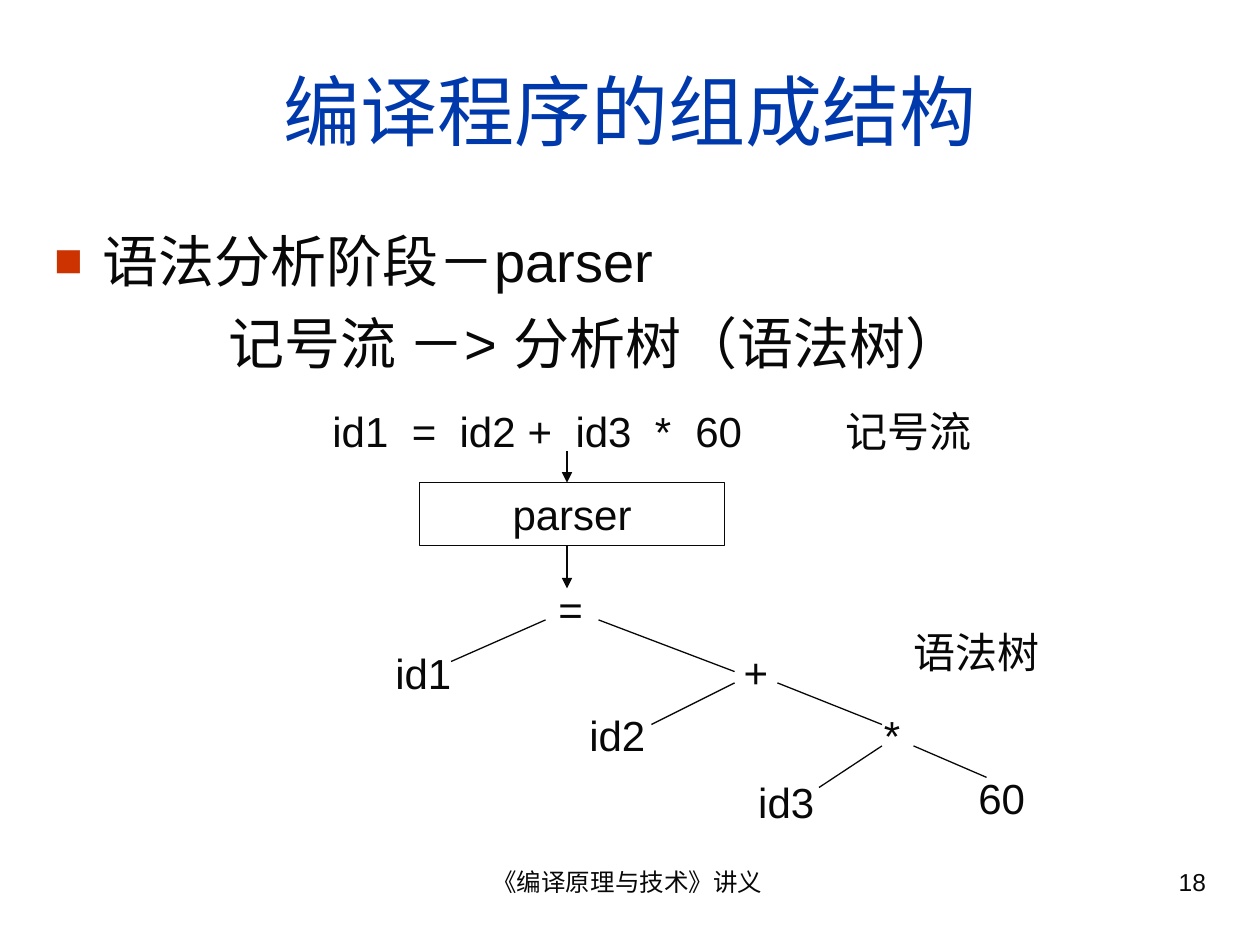
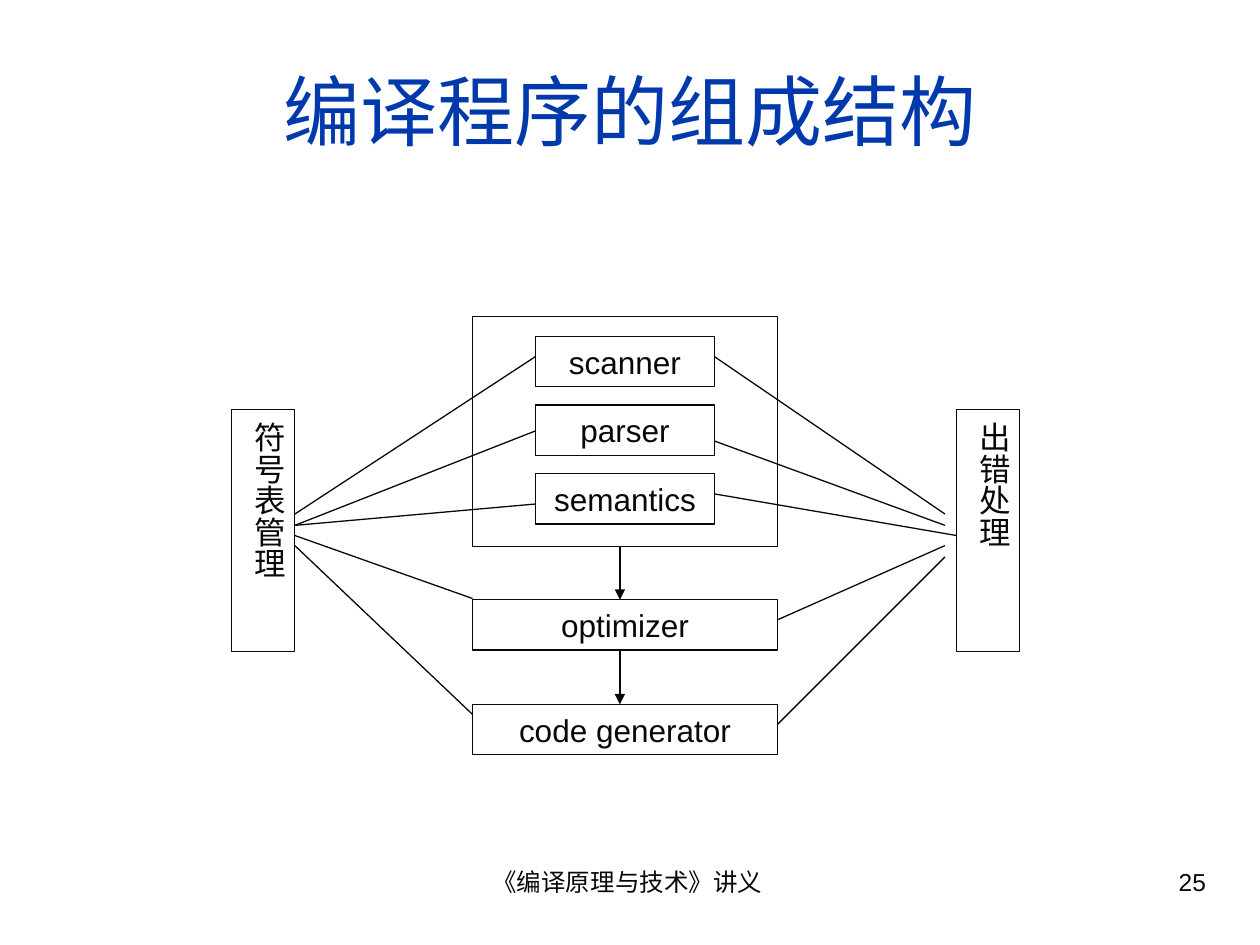
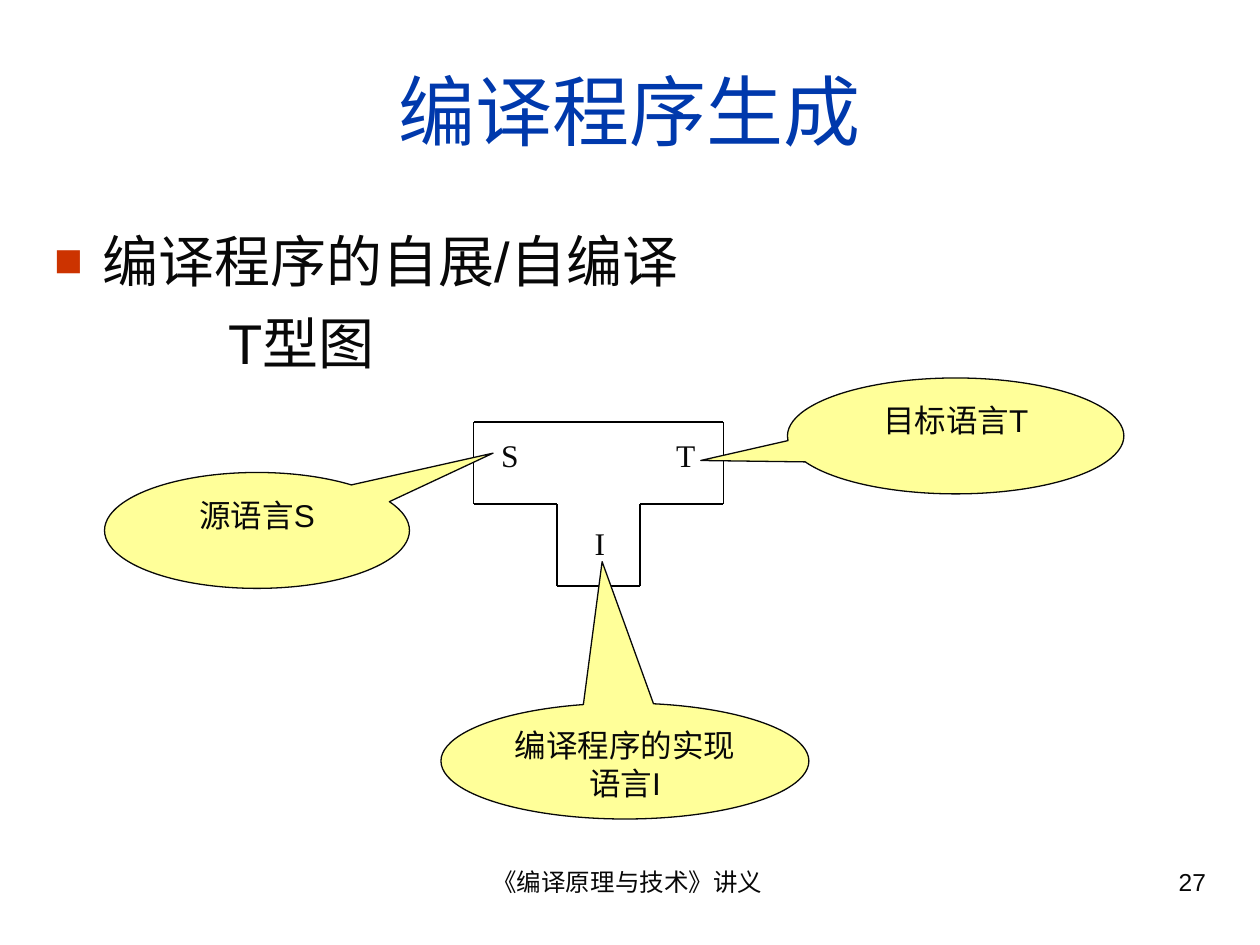
"""Build three lecture slides on the structure of a compiler."""
from dataclasses import dataclass

from lxml import etree
from pptx import Presentation
from pptx.dml.color import RGBColor
from pptx.enum import shapes as sh, text as tx
from pptx.oxml.ns import qn
from pptx.util import Inches, Pt


@dataclass(frozen=True)
class Theme:
    """Colours, fonts and type sizes of the deck."""

    ink: str = "080808"
    title: str = "0039AC"
    bullet: str = "CC3300"
    callout: str = "FFFF99"
    outline: str = "000000"
    sans: str = "Arial"
    serif: str = "Times New Roman"
    title_size: int = 44
    body_size: int = 32
    label_size: int = 24
    small_size: int = 18
    footer_size: int = 14
    line_width: float = 0.75


THEME = Theme()
CENTER, LEFT, RIGHT = tx.PP_ALIGN.CENTER, tx.PP_ALIGN.LEFT, tx.PP_ALIGN.RIGHT
COURSE = "《编译原理与技术》讲义"


def add_run(paragraph, words, size, color=THEME.ink, font=THEME.sans):
    """Append one formatted run."""
    run = paragraph.add_run()
    run.text = words
    run.font.size, run.font.name = Pt(size), font
    run.font.color.rgb = RGBColor.from_string(color)


def add_tabs(paragraph, stops):
    """Set tab stops given as (inches, alignment) pairs."""
    tabs = etree.SubElement(paragraph._p.get_or_add_pPr(), qn("a:tabLst"))
    for position, side in stops:
        etree.SubElement(tabs, qn("a:tab"), pos=str(Inches(position)), algn=side)


def set_frame(frame, margins=(0.1, 0.05), anchor=tx.MSO_ANCHOR.TOP):
    """Wrap a text frame and set its horizontal and vertical margins."""
    frame.word_wrap, frame.auto_size = True, tx.MSO_AUTO_SIZE.NONE
    frame.vertical_anchor = anchor
    frame.margin_left = frame.margin_right = Inches(margins[0])
    frame.margin_top = frame.margin_bottom = Inches(margins[1])


def style_line(line, color=THEME.ink):
    """Give a line the deck's colour and weight."""
    line.color.rgb = RGBColor.from_string(color)
    line.width = Pt(THEME.line_width)


@dataclass
class Region:
    """Part of a slide whose contents are placed from its top left corner."""

    slide: object
    left: float
    top: float

    def place(self, x, y):
        """Turn a point of the region into slide lengths."""
        return Inches(self.left + x), Inches(self.top + y)

    def label(self, words, x, y, width, height=0.5, size=THEME.label_size,
              align=CENTER, font=THEME.sans, margins=(0.1, 0.05)):
        """Add a text box and return its paragraph."""
        box = self.slide.shapes.add_textbox(
            *self.place(x, y), Inches(width), Inches(height))
        set_frame(box.text_frame, margins)
        paragraph = box.text_frame.paragraphs[0]
        paragraph.alignment = align
        add_run(paragraph, words, size, font=font)
        return paragraph

    def box(self, words, x, y, width, height, size=THEME.small_size,
            kind=sh.MSO_SHAPE.RECTANGLE, fill=None, margins=(0.1, 0.05)):
        """Add an outlined shape with centred words."""
        shape = self.slide.shapes.add_shape(
            kind, *self.place(x, y), Inches(width), Inches(height))
        shape.shadow.inherit = False
        if fill:
            shape.fill.solid()
            shape.fill.fore_color.rgb = RGBColor.from_string(fill)
        else:
            shape.fill.background()
        style_line(shape.line)
        set_frame(shape.text_frame, margins)
        if words:
            paragraph = shape.text_frame.paragraphs[0]
            paragraph.alignment = CENTER
            add_run(paragraph, words, size)
        return shape

    def line(self, start, end, arrow=False, color=THEME.ink):
        """Add a straight line, with an arrowhead at its end if wanted."""
        link = self.slide.shapes.add_connector(
            sh.MSO_CONNECTOR.STRAIGHT, *self.place(*start), *self.place(*end))
        style_line(link.line, color)
        if arrow:
            etree.SubElement(link.line._get_or_add_ln(), qn("a:tailEnd"), type="triangle")
        etree.SubElement(link._element.spPr, qn("a:effectLst"))


def add_slide(deck, heading, number, points=()):
    """Add a slide with its title, footer and optional body list."""
    slide = deck.slides.add_slide(deck.slide_layouts[1 if points else 5])
    title = slide.shapes.title
    title.left, title.top, title.width, title.height = map(Inches, (0.33, 0.25, 9.34, 1.24))
    set_frame(title.text_frame, anchor=tx.MSO_ANCHOR.MIDDLE)
    title.text_frame.paragraphs[0].alignment = CENTER
    add_run(title.text_frame.paragraphs[0], heading, THEME.title_size, THEME.title)
    if points:
        fill_body(slide.placeholders[1], *points)
    footer = Region(slide, 3.42, 6.83)
    footer.label(COURSE, 0, 0, 3.12, 0.52, THEME.footer_size)
    footer.label(str(number), 3.75, 0, 2.5, 0.52, THEME.footer_size, RIGHT)
    return slide


def fill_body(body, topic, detail):
    """Write a bulleted topic and an indented detail line."""
    body.left, body.top, body.width, body.height = map(Inches, (0.33, 1.75, 9.34, 1.33))
    frame = body.text_frame
    set_frame(frame)
    for paragraph, words, margin, indent in (
            (frame.paragraphs[0], topic, 0.38, -0.38),
            (frame.add_paragraph(), detail, 1.38, 0)):
        paragraph.alignment, paragraph.space_before = LEFT, Pt(8)
        add_run(paragraph, words, THEME.body_size)
        props = paragraph._p.get_or_add_pPr()
        props.set("marL", str(Inches(margin)))
        props.set("indent", str(Inches(indent)))
        if indent:
            color = etree.SubElement(props, qn("a:buClr"))
            etree.SubElement(color, qn("a:srgbClr"), val=THEME.bullet)
            etree.SubElement(props, qn("a:buSzPct"), val="85000")
            etree.SubElement(props, qn("a:buFont"), typeface=THEME.sans)
            etree.SubElement(props, qn("a:buChar"), char="■")
        else:
            etree.SubElement(props, qn("a:buNone"))


def draw_token_stream(region):
    """Show the token stream entering and leaving the parser."""
    tokens = ("id1", "=", "id2", "+", "id3", "*", "60", "记号流")
    stream = region.label("\t".join(tokens), 0.46, 0, 5.46, align=LEFT)
    add_tabs(stream, [(x, "l") for x in (0.63, 1.01, 1.55, 1.93, 2.56, 2.88, 4.07)])
    region.line((2.42, 0.41), (2.42, 0.66), arrow=True)
    region.box("parser", 1.25, 0.66, 2.42, 0.5, THEME.label_size)
    region.line((2.42, 1.16), (2.42, 1.5), arrow=True)


def draw_syntax_tree(region):
    """Draw the syntax tree from its node centres and branches."""
    width = 0.83
    nodes = (("=", 1.53, 0), ("id1", 0.36, 0.51), ("+", 3, 0.5), ("id2", 1.9, 1),
             ("*", 4.08, 1), ("id3", 3.24, 1.53), ("60", 4.95, 1.5))
    for name, center, top in nodes:
        region.label(name, center - width / 2, top, width)
    branches = (((1.33, 0.34), (0.58, 0.67)), ((1.75, 0.34), (2.83, 0.75)),
                ((2.83, 0.84), (2.17, 1.17)), ((3.17, 0.84), (4, 1.17)),
                ((4, 1.34), (3.5, 1.67)), ((4.25, 1.34), (4.83, 1.59)))
    for start, end in branches:
        region.line(start, end)
    region.label("语法树", 3.83, 0.34, 1.84)


def draw_phases(region):
    """Stack the compiler phases and join them with arrows."""
    region.box("", 0, 0, 2.42, 1.83)
    for row, phase in enumerate(("scanner", "parser", "semantics")):
        region.box(phase, 0.5, 0.16 + row * 0.545, 1.42, 0.4)
    for row, phase in enumerate(("optimizer", "code generator")):
        top = 2.25 + row * 0.83
        region.line((1.17, top - 0.42), (1.17, top), arrow=True)
        region.box(phase, 0, top, 2.42, 0.4)


def draw_services(region):
    """Draw the two side services and their links to every phase."""
    for words, left in (("符号表管理", 0), ("出错处理", 5.75)):
        service = region.box(words, left, 0, 0.5, 1.92, margins=(0.05, 0.1))
        service.text_frame.auto_size = tx.MSO_AUTO_SIZE.SHAPE_TO_FIT_TEXT
        service.text_frame._txBody.bodyPr.set("vert", "eaVert")
    table_links = ((0.83, 2.41, -0.42), (0.92, 2.41, 0.17), (0.92, 2.41, 0.75),
                   (1, 1.91, 1.5), (1.08, 1.91, 2.42))
    for start, x, y in table_links:
        region.line((0.5, start), (x, y))
    error_links = ((3.83, -0.42, 5.66, 0.83), (3.83, 0.25, 5.66, 0.92),
                   (3.83, 0.67, 5.75, 1), (4.33, 1.67, 5.66, 1.08),
                   (4.33, 2.5, 5.66, 1.17))
    for x, y, end_x, end_y in error_links:
        region.line((x, y), (end_x, end_y))


def draw_t_diagram(region, column=0.66, row=0.65):
    """Draw the T outline on a grid with its language letters."""
    corners = [(x * column, y * row) for x, y in (
        (0, 0), (0, 1), (1, 1), (1, 2), (2, 2), (2, 1), (3, 1), (3, 0))]
    for start, end in zip(corners, corners[1:] + corners[:1]):
        region.line(start, end, color=THEME.outline)
    letters = {"size": THEME.small_size, "font": THEME.serif}
    ends = region.label("S\tT", 0.12, 0.11, 1.76, 0.44, align=LEFT,
                        margins=(0.1, 0), **letters)
    add_tabs(ends, [(1.54, "r")])
    region.label("I", 0.78, 0.81, 0.44, 0.44, margins=(0, 0), **letters)


def draw_callouts(region):
    """Explain each letter of the T diagram in a callout."""
    callouts = (("源语言S", 0, 0.75, 2.42, (0.774, -0.667)),
                ("目标语言T", 5.42, 0, 2.67, (-0.758, 0.212)),
                ("编译程序的实现语言I", 2.67, 2.58, 2.92, (-0.062, -1.72)))
    for words, x, y, width, tip in callouts:
        callout = region.box(words, x, y, width, 0.92,
                             kind=sh.MSO_SHAPE.OVAL_CALLOUT, fill=THEME.callout)
        callout.adjustments[0], callout.adjustments[1] = tip


def main():
    """Build and save the deck."""
    deck = Presentation()
    deck.slide_width, deck.slide_height = Inches(10), Inches(7.5)

    parsing = add_slide(deck, "编译程序的组成结构", 18,
                        ("语法分析阶段－parser", "记号流 －> 分析树（语法树）"))
    draw_token_stream(Region(parsing, 2.08, 3.17))
    draw_syntax_tree(Region(parsing, 3, 4.58))

    structure = add_slide(deck, "编译程序的组成结构", 25)
    draw_phases(Region(structure, 3.75, 2.51))
    draw_services(Region(structure, 1.84, 3.25))

    bootstrapping = add_slide(deck, "编译程序生成", 27,
                              ("编译程序的自展/自编译", "T型图"))
    draw_t_diagram(Region(bootstrapping, 3.76, 3.35))
    draw_callouts(Region(bootstrapping, 0.83, 3))

    deck.save("out.pptx")


if __name__ == "__main__":
    main()
